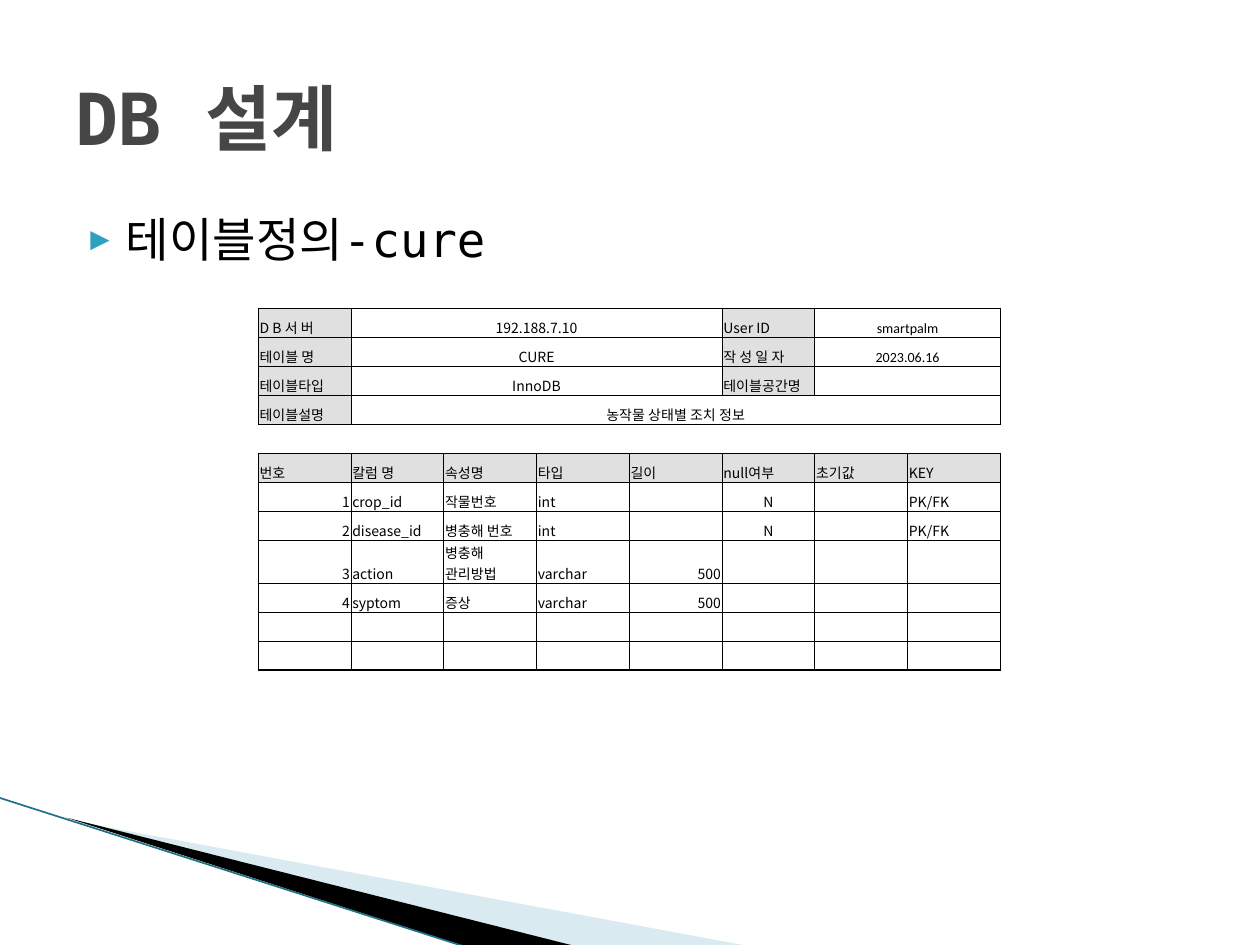
from lxml import etree
from pptx import Presentation
from pptx import util as u
from pptx.dml.color import RGBColor
from pptx.enum import shapes, text
from pptx.oxml.ns import qn

MONO, SANS, LATIN = "DejaVu Sans Mono", "Noto Sans CJK KR", "Calibri"
BLACK, GREY, WHITE = "000000", "E0E0E0", "FFFFFF"
ALIGN = {"l": text.PP_ALIGN.LEFT, "c": text.PP_ALIGN.CENTER, "r": text.PP_ALIGN.RIGHT}


def color(value):
    return RGBColor.from_string(value)


def add_element(parent, tag, **attributes):
    return etree.SubElement(parent, qn(tag), {k: str(v) for k, v in attributes.items()})


def write(frame, words, size, font=SANS, fill=BLACK, bold=False, align="l"):
    paragraph = frame.paragraphs[0]
    paragraph.alignment = ALIGN[align]
    if not words:
        # An empty cell keeps the small line height
        add_element(paragraph._p, "a:endParaRPr", sz=int(size * 100))
        return paragraph
    run = paragraph.add_run()
    run.text = words
    run.font.size, run.font.bold, run.font.name = u.Pt(size), bold, font
    run.font.color.rgb = color(fill)
    add_element(run._r.get_or_add_rPr(), "a:ea", typeface=font)
    return paragraph


# Corner decoration
def add_wedge(slide, points, fill, alpha=100):
    points = [(u.Inches(x), u.Inches(y)) for x, y in points]
    builder = slide.shapes.build_freeform(*points[0])
    builder.add_line_segments(points[1:], close=True)
    shape = builder.convert_to_shape()
    shape.shadow.inherit = False
    shape.line.fill.background()
    shape.fill.solid()
    shape.fill.fore_color.rgb = color(fill)
    if alpha < 100:
        solid = shape._element.spPr.find(qn("a:solidFill"))
        add_element(solid[0], "a:alpha", val=alpha * 1000)


def add_corner(slide, left, top):
    def place(*points):
        return [(left + x, top + y) for x, y in points]

    add_wedge(slide, place((0.55, 0.18), (5.95, 1.18), (4.56, 1.18)), "A0CBDC", 40)
    add_wedge(slide, place((0.53, 0.16), (4.57, 1.18), (3.72, 1.19)), BLACK)
    start, end = place((-0.01, 0), (3.71, 1.19))
    line = slide.shapes.add_connector(
        shapes.MSO_CONNECTOR.STRAIGHT, *(u.Inches(v) for v in start + end))
    line.line.color.rgb = color("1F7184")
    line.line.width = u.Pt(0.95)
    add_element(line._element.spPr, "a:effectLst")


# Heading and bullet
def add_title(slide, words, left, top, width, height):
    title = slide.shapes.title
    title.left, title.top, title.width, title.height = map(
        u.Inches, (left, top, width, height))
    title.text_frame.vertical_anchor = text.MSO_ANCHOR.MIDDLE
    write(title.text_frame, words, 41, MONO, "464646", bold=True)


def add_bullet(slide, words, left, top, width, height):
    box = slide.shapes.add_textbox(*map(u.Inches, (left, top, width, height)))
    box.text_frame.word_wrap = True
    paragraph = write(box.text_frame, words, 27, MONO)
    paragraph.space_before = u.Pt(4)
    properties = paragraph._p.get_or_add_pPr()
    properties.set("marL", str(u.Inches(0.4)))
    properties.set("indent", str(u.Inches(-0.28)))
    bullet_color = add_element(properties, "a:buClr")
    add_element(bullet_color, "a:srgbClr", val="2DA2BF")
    add_element(properties, "a:buSzPct", val=68000)
    add_element(properties, "a:buFont", typeface=MONO)
    add_element(properties, "a:buChar", char="▶")


# Table definition: entries are (column, span, words, align, fill, font)
def summary_row(label, value, side_label, side_value):
    return [(0, 1, label, "l", GREY, SANS), (1, 4, value, "c", WHITE, SANS),
            (5, 1, side_label, "l", GREY, SANS), (6, 2, side_value, "c", None, LATIN)]


def column_row(*words, fill=None, aligns="rlllrcll"):
    return [(i, 1, word, aligns[i], fill, SANS) for i, word in enumerate(words)]


SUMMARY = [
    summary_row("D B 서 버", "192.188.7.10", "User ID ", "smartpalm"),
    summary_row("테이블 명 ", "CURE", "작 성 일 자", "2023.06.16"),
    summary_row("테이블타입", "InnoDB", "테이블공간명", ""),
    [(0, 1, "테이블설명", "l", GREY, SANS),
     (1, 7, "농작물 상태별 조치 정보", "c", None, SANS)],
]
COLUMNS = [
    column_row("번호", "칼럼 명", "속성명", "타입", "길이", "null여부", "초기값", "KEY",
               fill=GREY, aligns="l" * 8),
    column_row("1", "crop_id", "작물번호", "int", "", "N", "", "PK/FK"),
    column_row("2", "disease_id", "병충해 번호", "int", "", "N", "", "PK/FK"),
    column_row("3", "action", "병충해 관리방법", "varchar", "500", "", "", ""),
    column_row("4", "syptom", "증상", "varchar", "500", "", "", ""),
    column_row(*[""] * 8),
    column_row(*[""] * 8),
]
GAP = [column_row(*[""] * 8)]
TWO_LINE_ROW = 8


def set_borders(cell, **widths):
    properties = cell._tc.get_or_add_tcPr()
    for side in "LRTB":
        line = add_element(properties, f"a:ln{side}", w=int(u.Pt(widths[side])))
        if widths[side]:
            solid = add_element(line, "a:solidFill")
            add_element(solid, "a:srgbClr", val=BLACK)
        else:
            add_element(line, "a:noFill")


def fill_block(table, rows, first_row, framed=True):
    count, last_column = len(rows), len(table.columns) - 1
    for offset, row in enumerate(rows):
        for column, span, words, align, fill, font in row:
            number = first_row + offset
            cell = table.cell(number, column)
            end = column + span - 1
            if span > 1:
                cell.merge(table.cell(number, end))
            cell.margin_left = cell.margin_right = cell.margin_top = u.Inches(0.01)
            cell.margin_bottom = 0
            cell.vertical_anchor = text.MSO_ANCHOR.BOTTOM
            write(cell.text_frame, words, 8, font, align=align)
            for index in range(column, end + 1):
                part = table.cell(number, index)
                set_borders(
                    part,
                    L=(1 if column == 0 else 0.5) if framed else 0,
                    R=(1 if end == last_column else 0.5) if framed else 0,
                    T=1 if offset == 0 else 0.5,
                    B=1 if offset == count - 1 else 0.5)
                if fill:
                    part.fill.solid()
                    part.fill.fore_color.rgb = color(fill)
                else:
                    part.fill.background()


def add_definition(slide, left, top, width, row_height, two_line_height):
    blocks = [(SUMMARY, True), (GAP, False), (COLUMNS, True)]
    row_count, column_count = sum(len(rows) for rows, _ in blocks), 8
    heights = [two_line_height if i == TWO_LINE_ROW else row_height
               for i in range(row_count)]
    table = slide.shapes.add_table(
        row_count, column_count, u.Inches(left), u.Inches(top),
        u.Inches(width), u.Inches(sum(heights))).table
    table.first_row = table.horz_banding = False
    for column in table.columns:
        column.width = u.Inches(width / column_count)
    for row, height in zip(table.rows, heights):
        row.height = u.Inches(height)
    first_row = 0
    for rows, framed in blocks:
        fill_block(table, rows, first_row, framed)
        first_row += len(rows)


presentation = Presentation()
presentation.slide_width, presentation.slide_height = u.Inches(10), u.Inches(7.5)
slide = presentation.slides.add_slide(presentation.slide_layouts[5])
add_corner(slide, 0, 6.33)
add_bullet(slide, "테이블정의-cure", 0.5, 1.62, 9, 0.56)
add_title(slide, "DB 설계", 0.5, 0.3, 9, 1.25)
add_definition(slide, 2.05, 2.45, 5.89, 0.23, 0.34)
presentation.save("out.pptx")
